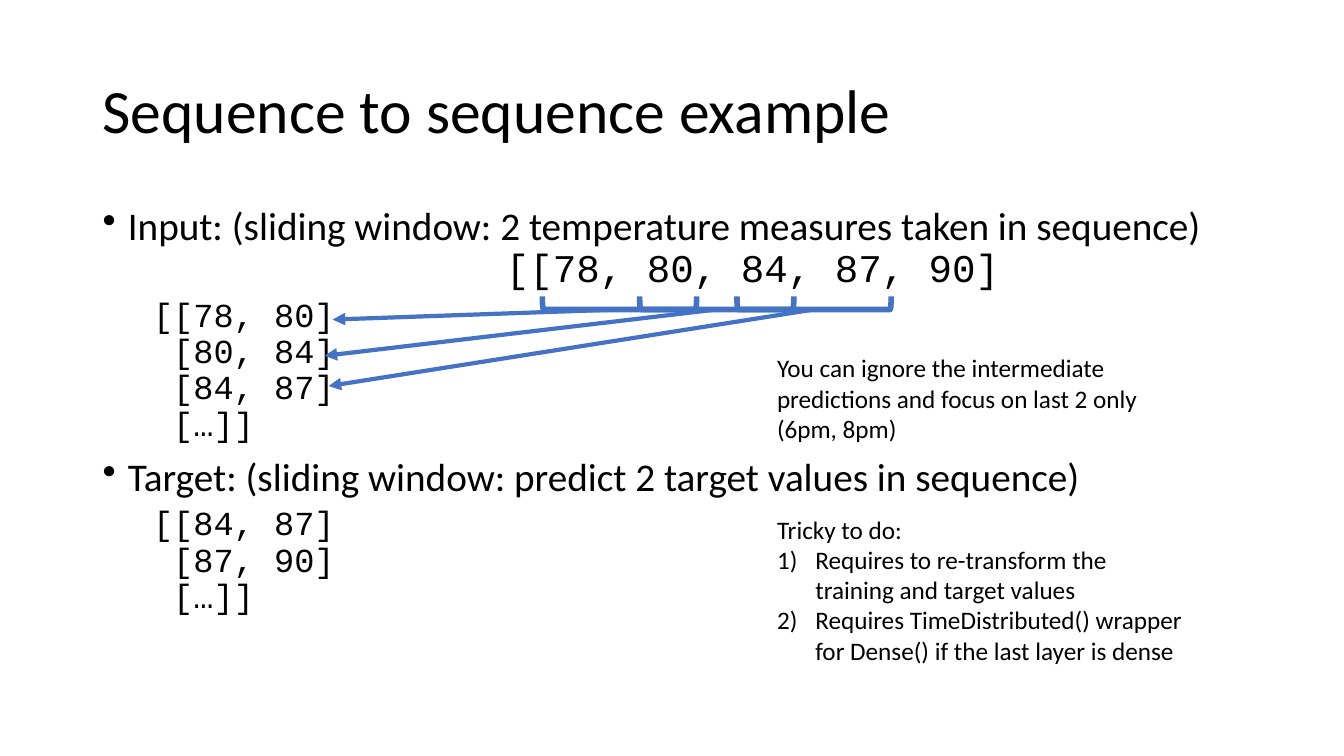
from lxml.etree import SubElement
from pptx import Presentation
from pptx.dml.color import RGBColor
from pptx.enum.shapes import MSO_CONNECTOR as CONN, MSO_SHAPE as SHAPE
from pptx.enum.text import MSO_ANCHOR as ANCHOR, MSO_AUTO_SIZE as AUTO
from pptx.oxml.ns import qn
from pptx.util import Inches, Pt

COLORS = {"text": "000000", "accent": "4472C4", "paper": "FFFFFF"}
SANS, MONO = "Calibri", "Courier New"
W, H = Inches(13.33), Inches(7.5)

# Paragraph formats; lengths in inches, sizes and spacing in points
TITLE = {"size": 44, "spacing": 0.9}
BULLET = {"size": 28, "spacing": 0.9, "before": 10, "left": 0.25, "hang": 0.25,
          "bullet": ("a:buChar", {"char": "•"})}
SERIES = {"font": MONO, "size": 28, "spacing": 0.9, "left": 4}
WINDOWS = {"font": MONO, "size": 24, "spacing": 0.9, "before": 5, "left": 0.5}
NOTE = {"size": 18}
NUMBERED = {"size": 18, "left": 0.38, "hang": 0.38,
            "bullet": ("a:buAutoNum", {"type": "arabicParenR"})}

BODY = [
    ("Input: (sliding window: 2 temperature measures taken in sequence)", BULLET),
    ("[[78, 80, 84, 87, 90]", SERIES),
    ("[[78, 80]\v [80, 84]\v [84, 87]\v […]]", WINDOWS),
    ("Target: (sliding window: predict 2 target values in sequence)", BULLET),
    ("[[84, 87]\v [87, 90]\v […]]", WINDOWS),
]
IGNORE_NOTE = [
    ("You can ignore the intermediate predictions and focus on last 2 only (6pm, 8pm)", NOTE),
]
TRICKY_NOTE = [
    ("Tricky to do:", NOTE),
    ("Requires to re-transform the training and target values", NUMBERED),
    ("Requires TimeDistributed() wrapper for Dense() if the last layer is dense", NUMBERED),
]

# Grid positions: the slide has 100 columns and 100 rows
LEFT, WIDTH = 6.9, 86.25
NOTE_LEFT, NOTE_WIDTH = 57.08, 31.72
BRACKET_X, BRACKET_STEP, BRACKET_SPAN = 46.09, 7.24, 11.48
BRACKET_Y, BRACKET_DEPTH = 40.07, 1.73
ARROW_TIPS = [(24.75, 42.27), (24.15, 47.07), (24.45, 51.07)]


def col(n):
    return round(W * n / 100)


def row(n):
    return round(H * n / 100)


def color(name):
    return RGBColor.from_string(COLORS[name])


def format_paragraph(p, fmt):
    spacing = {"line_spacing": fmt.get("spacing", 1.0),
               "space_before": Pt(fmt.get("before", 0))}
    for name, value in spacing.items():
        setattr(p, name, value)
    pPr = p._p.get_or_add_pPr()
    pPr.set("marL", str(Inches(fmt.get("left", 0))))
    pPr.set("indent", str(-Inches(fmt.get("hang", 0))))
    if "bullet" in fmt:
        tag, attributes = fmt["bullet"]
        SubElement(pPr, qn(tag), attributes)
    for r in p.runs:
        for name, value in {"name": fmt.get("font", SANS), "size": Pt(fmt["size"])}.items():
            setattr(r.font, name, value)
        r.font.color.rgb = color("text")


def add_text(s, x, y, w, h, paragraphs, **frame):
    tf = s.shapes.add_textbox(col(x), row(y), col(w), row(h)).text_frame
    for name, value in {"word_wrap": True, **frame}.items():
        setattr(tf, name, value)
    for i, (text, fmt) in enumerate(paragraphs):
        p = tf.add_paragraph() if i else tf.paragraphs[0]
        p.text = text
        format_paragraph(p, fmt)


def style_line(line, width):
    line.color.rgb = color("accent")
    line.width = Pt(width)


def add_window_bracket(s, x, y):
    """Bracket centred on (x, y), turned to open upwards."""
    depth, span = row(BRACKET_DEPTH), col(BRACKET_SPAN)
    sp = s.shapes.add_shape(SHAPE.RIGHT_BRACKET, col(x) - depth // 2,
                            row(y) - span // 2, depth, span)
    sp.rotation = 90
    sp.shadow.inherit = False
    sp.fill.background()
    style_line(sp.line, 4)


def add_arrow(s, start, end):
    (x1, y1), (x2, y2) = start, end
    line = s.shapes.add_connector(CONN.STRAIGHT, col(x1), row(y1), col(x2), row(y2))
    style_line(line.line, 3)
    SubElement(line.line._get_or_add_ln(), qn("a:tailEnd"), {"type": "triangle"})
    SubElement(line._element.spPr, qn("a:effectLst"))


def main():
    prs = Presentation()
    prs.slide_width, prs.slide_height = W, H
    s = prs.slides.add_slide(prs.slide_layouts[6])
    s.background.fill.solid()
    s.background.fill.fore_color.rgb = color("paper")

    add_text(s, LEFT, 5.33, WIDTH, 19.33, [("Sequence to sequence example", TITLE)],
             vertical_anchor=ANCHOR.MIDDLE)
    add_text(s, LEFT, 26.67, WIDTH, 63.47, BODY)
    for top, height, note in [(46, 13.47, IGNORE_NOTE), (67.33, 21.6, TRICKY_NOTE)]:
        add_text(s, NOTE_LEFT, top, NOTE_WIDTH, height, note,
                 auto_size=AUTO.SHAPE_TO_FIT_TEXT)

    for i, tip in enumerate(ARROW_TIPS):
        x = BRACKET_X + i * BRACKET_STEP
        add_window_bracket(s, x, BRACKET_Y)
        add_arrow(s, (x, BRACKET_Y + BRACKET_DEPTH / 2), tip)

    prs.save("out.pptx")


if __name__ == "__main__":
    main()
